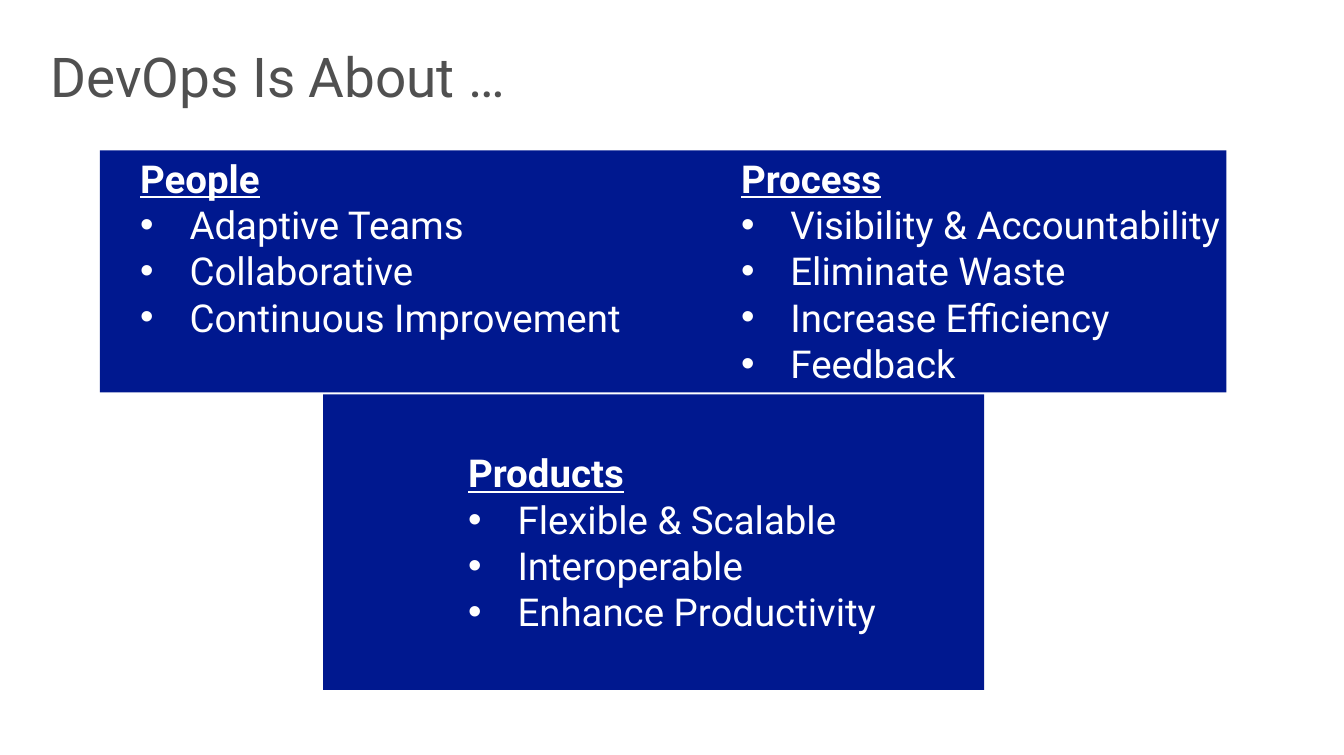
from dataclasses import dataclass

from lxml import etree
from pptx import Presentation
from pptx import util as u
from pptx.dml.color import RGBColor
from pptx.enum import shapes, text
from pptx.oxml.ns import qn


@dataclass(frozen=True)
class Theme:
    """Colours, font and type sizes of the slide."""
    font: str = "Roboto"
    title: str = "505050"
    panel: str = "00188F"
    body: str = "FFFFFF"
    title_size: int = 40
    body_size: int = 28
    indent: int = 36


class Deck:
    """Holds the theme and the current slide."""

    def __init__(self, theme, width, height):
        """Start a presentation of the given size."""
        self.t = theme
        self.prs = Presentation()
        self.prs.slide_width, self.prs.slide_height = u.Pt(width), u.Pt(height)
        self.s = self.prs.slides.add_slide(self.prs.slide_layouts[5])

    def style(self, r, size, color, **extra):
        """Format one run."""
        fmt = {"name": self.t.font, "size": u.Pt(size), **extra}
        for key, value in fmt.items():
            setattr(r.font, key, value)
        r.font.color.rgb = RGBColor.from_string(color)

    def title(self, words, box):
        """Place and fill the title placeholder."""
        sp = self.s.shapes.title
        for key, value in zip(("left", "top", "width", "height"), box):
            setattr(sp, key, u.Pt(value))
        tf = sp.text_frame
        fmt = {"word_wrap": True, "auto_size": text.MSO_AUTO_SIZE.NONE,
               "vertical_anchor": text.MSO_ANCHOR.MIDDLE}
        for key, value in fmt.items():
            setattr(tf, key, value)
        p = tf.paragraphs[0]
        p.alignment, p.line_spacing = text.PP_ALIGN.LEFT, 0.9
        r = p.add_run()
        r.text = words
        self.style(r, self.t.title_size, self.t.title)

    def panel(self, box):
        """Add a plain filled rectangle."""
        sp = self.s.shapes.add_shape(shapes.MSO_SHAPE.RECTANGLE, *map(u.Pt, box))
        sp.shadow.inherit = False
        sp.fill.solid()
        sp.fill.fore_color.rgb = RGBColor.from_string(self.t.panel)
        sp.line.fill.background()
        return sp

    def bullet(self, p):
        """Give a paragraph a hanging round bullet."""
        pPr = p._p.get_or_add_pPr()
        indent = u.Pt(self.t.indent)
        pPr.set("marL", str(indent))
        pPr.set("indent", str(-indent))
        etree.SubElement(pPr, qn("a:buFont"), typeface="Arial")
        etree.SubElement(pPr, qn("a:buChar"), char="•")

    def topic(self, heading, items, box):
        """Add an underlined heading with a bulleted list."""
        sp = self.s.shapes.add_textbox(*map(u.Pt, box))
        tf = sp.text_frame
        tf.word_wrap = True
        tf.auto_size = text.MSO_AUTO_SIZE.SHAPE_TO_FIT_TEXT
        for i, words in enumerate([heading, *items]):
            p = tf.add_paragraph() if i else tf.paragraphs[0]
            if i:
                self.bullet(p)
            r = p.add_run()
            r.text = words
            self.style(r, self.t.body_size, self.t.body, bold=not i, underline=not i)
        return sp

    def group(self, *members):
        """Group shapes that belong together."""
        return self.s.shapes.add_group_shape(members)


def main():
    """Build and save the slide."""
    d = Deck(Theme(), 979.2, 550.08)
    d.title("DevOps Is About …", (29.5, 14.4, 844.5, 87))
    top = 109.5
    d.group(
        d.panel((72.7, top, 820.8, 176.4)),
        d.topic("People", ["Adaptive Teams", "Collaborative", "Continuous Improvement"],
                (95, top, 381, 142.5)))
    d.group(
        d.panel((235.4, 287.3, 481.7, 215.3)),
        d.topic("Products", ["Flexible & Scalable", "Interoperable", "Enhance Productivity"],
                (334, 324, 316, 142.5)))
    d.topic("Process", ["Visibility & Accountability", "Eliminate Waste",
                        "Increase Efficiency", "Feedback"],
            (532.8, top, 381, 176.4))
    d.prs.save("out.pptx")


if __name__ == "__main__":
    main()
